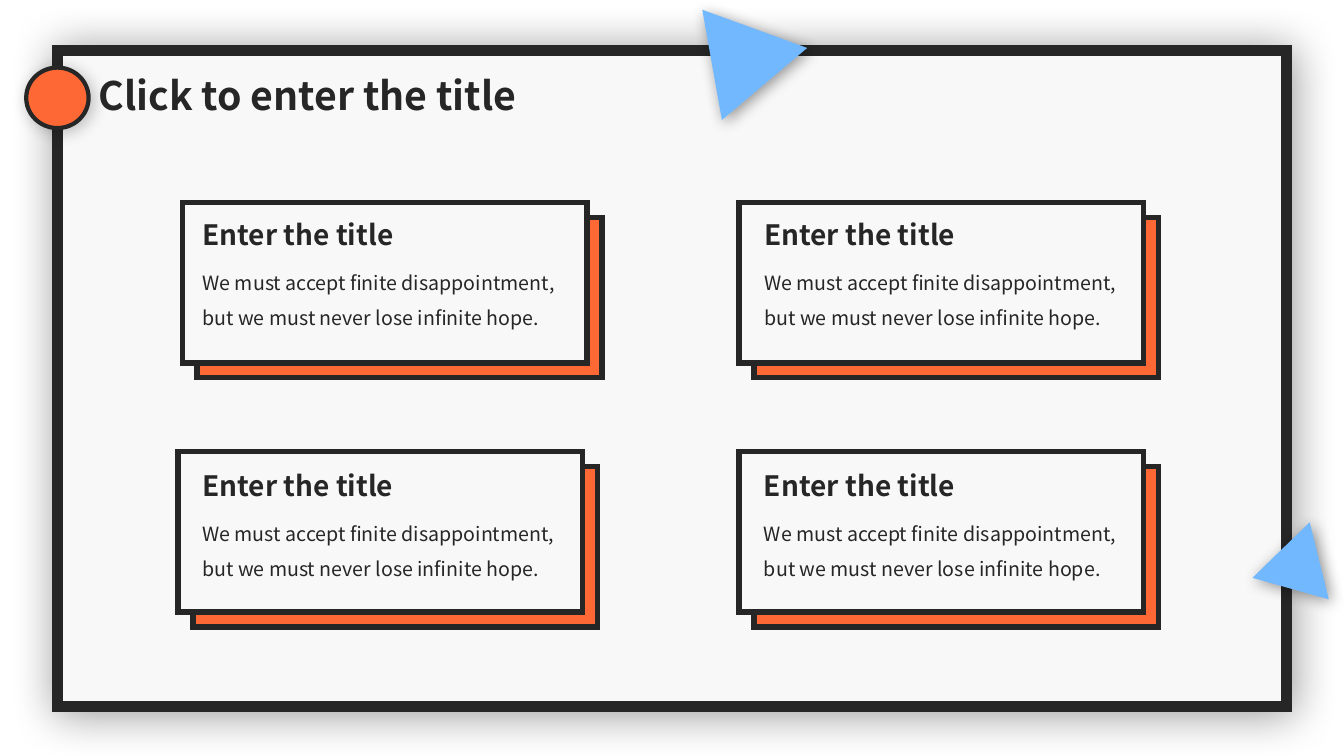
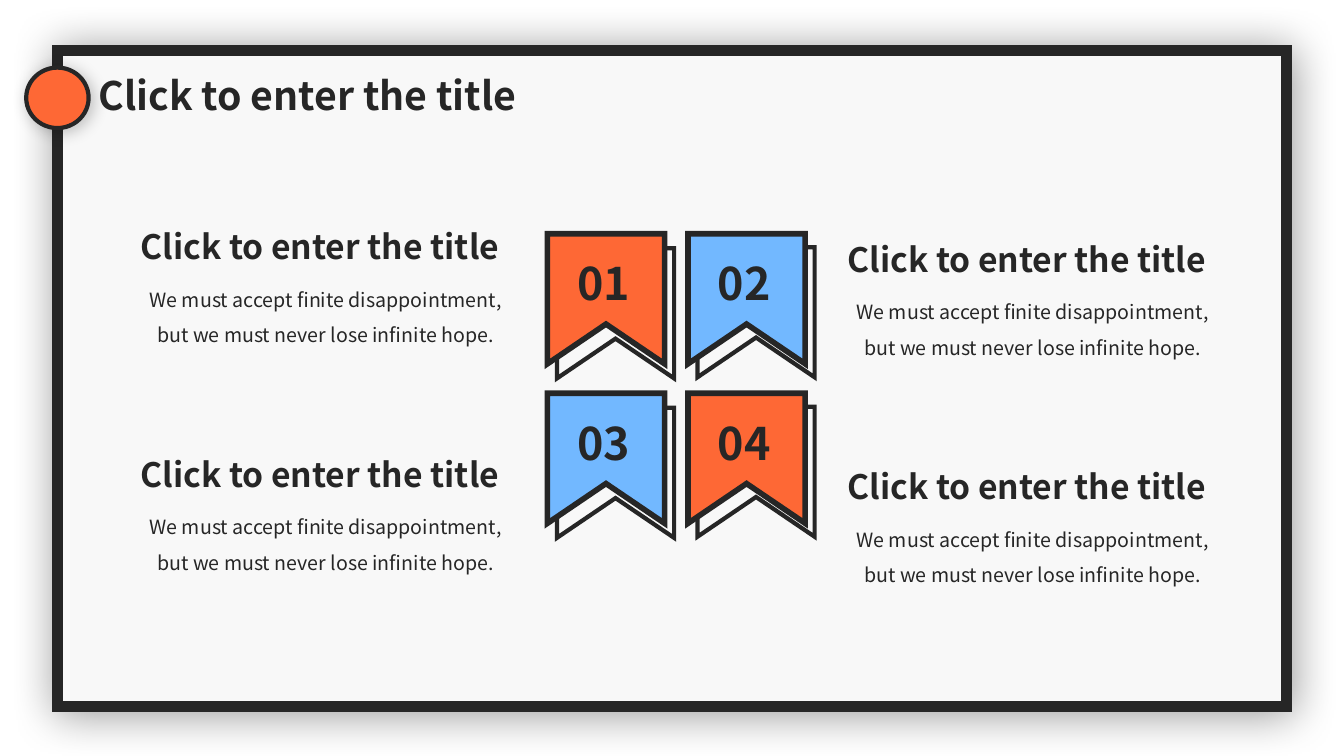
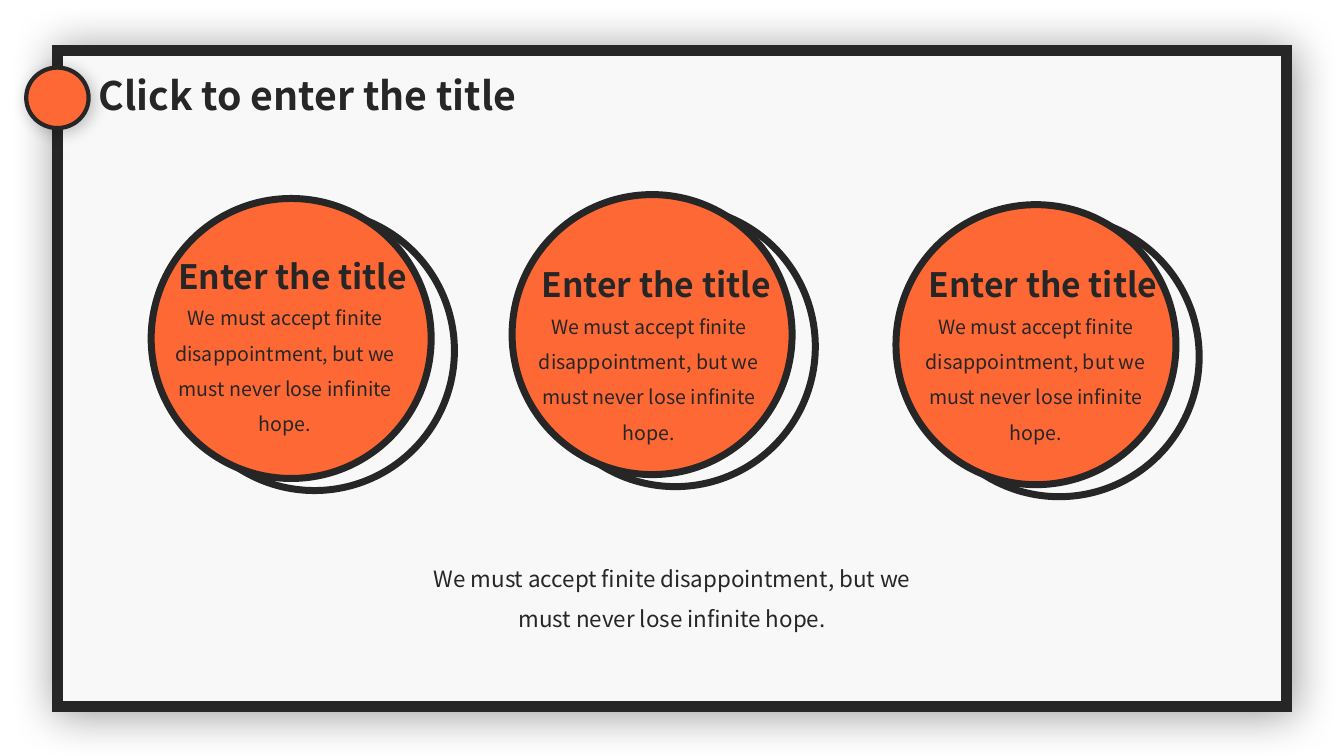
from dataclasses import dataclass

from lxml import etree
from pptx import Presentation
from pptx.dml.color import RGBColor
from pptx.enum.shapes import MSO_SHAPE
from pptx.enum.text import MSO_AUTO_SIZE, PP_ALIGN
from pptx.oxml.ns import qn
from pptx.util import Pt

RECT, OVAL = MSO_SHAPE.RECTANGLE, MSO_SHAPE.OVAL
WEDGE = MSO_SHAPE.ISOSCELES_TRIANGLE
LEFT, MID = PP_ALIGN.LEFT, PP_ALIGN.CENTER
GROW = MSO_AUTO_SIZE.SHAPE_TO_FIT_TEXT


@dataclass(frozen=True)
class Theme:
    font: str = "Noto Sans CJK SC"
    ink: str = "262626"
    paper: str = "F8F8F8"
    orange: str = "FE6835"
    blue: str = "72B8FF"
    title: int = 28
    number: int = 32
    head: int = 24
    label: int = 20
    note: int = 16
    body: int = 14


THEME = Theme()
TITLE = "Click to enter the title"
LABEL = "Enter the title"
QUOTE = "We must accept finite disappointment, but we must never lose infinite hope."


def paint(shape, fill=None, line=0):
    shape.shadow.inherit = False
    if fill:
        shape.fill.solid()
        shape.fill.fore_color.rgb = RGBColor.from_string(fill)
    else:
        shape.fill.background()
    if line:
        shape.line.color.rgb = RGBColor.from_string(THEME.ink)
        shape.line.width = Pt(line)
        join = etree.SubElement(shape.line._get_or_add_ln(), qn("a:miter"))
        join.set("lim", "800000")
    else:
        shape.line.fill.background()
    return shape


def draw(shapes, kind, box, fill, line=0):
    return paint(shapes.add_shape(kind, *map(Pt, box)), fill, line)


def shade(shape, alpha, blur):
    """Give a painted shape a soft shadow, 3 pt to the lower right."""
    effects = shape._element.spPr.find(qn("a:effectLst"))
    outer = etree.SubElement(effects, qn("a:outerShdw"), blurRad=str(Pt(blur)),
                             dist=str(Pt(3)), dir="2700000", algn="tl",
                             rotWithShape="0")
    color = etree.SubElement(outer, qn("a:srgbClr"), val="000000")
    etree.SubElement(color, qn("a:alpha"), val=str(alpha * 1000))


def write(shapes, box, text, size, bold=False, align=LEFT):
    """Bold text stays on one line; plain text wraps with open spacing."""
    frame = shapes.add_textbox(*map(Pt, box)).text_frame
    frame.word_wrap = not bold
    frame.auto_size = GROW
    para = frame.paragraphs[0]
    para.alignment = align
    if not bold:
        para.line_spacing = 1.5
    run = para.add_run()
    run.text = text
    run.font.name = THEME.font
    run.font.size = Pt(size)
    run.font.bold = bold
    run.font.color.rgb = RGBColor.from_string(THEME.ink)


def base(deck):
    """Add a slide with the framed panel, the dot and the title."""
    shapes = deck.slides.add_slide(deck.slide_layouts[6]).shapes
    shade(draw(shapes, RECT, (41, 36, 878, 468.7), THEME.paper, 8), 40, 32)
    head = shapes.add_group_shape().shapes
    shade(draw(head, OVAL, (18.7, 48.3, 44.6, 43.2), THEME.orange, 3), 23, 12)
    write(head, (63.4, 47.5, 323, 41), TITLE, THEME.title, True)
    return shapes


def double(shapes, kind, box, step, under, over, line):
    """Draw a shape on top of a twin that is moved by step."""
    left, top, wide, high = box
    group = shapes.add_group_shape().shapes
    draw(group, kind, (left + step[0], top + step[1], wide, high), under, line)
    draw(group, kind, box, over, line)


def card(shapes, left, top, inset):
    double(shapes, RECT, (left, top, 289, 114.5), (10.6, 10.6),
           THEME.orange, THEME.paper, 4)
    x, y = left + inset[0], top + inset[1]
    write(shapes, (x, y + 29.6, 281.5, 55.4), QUOTE, THEME.body)
    write(shapes, (x, y, 153.4, 31.7), LABEL, THEME.label, True)


def wedge(shapes, box, turn):
    shape = draw(shapes, WEDGE, box, THEME.blue)
    shape.rotation = turn
    shade(shape, 40, 11)


def flag(shapes, left, top, fill, line):
    wide, high, notch = 83.7, 92.9, 28.4
    points = [(wide, 0), (wide, high), (wide / 2, high - notch), (0, high)]
    pen = shapes.build_freeform(Pt(left), Pt(top))
    pen.add_line_segments([(Pt(left + x), Pt(top + y)) for x, y in points])
    paint(pen.convert_to_shape(), fill, line)


def badge(shapes, left, top, drop, fill, text):
    """Draw a numbered flag over an empty one."""
    group = shapes.add_group_shape().shapes
    flag(group, left + 6.8, top + drop, None, 3)
    flag(group, left, top, fill, 4)
    write(group, (left + 13, top + 12.4, 54.7, 46), text, THEME.number, True, MID)


def blurb(shapes, left, top):
    write(shapes, (left, top + 35.7, 278.6, 55.4), QUOTE, THEME.body, align=MID)
    write(shapes, (left, top, 279.4, 36), TITLE, THEME.head, True)


def disc(shapes, left, top, inset):
    double(shapes, OVAL, (left, top, 200, 200), (16.6, 8.6),
           THEME.paper, THEME.orange, 5)
    x, y = left + inset[0], top + inset[1]
    write(shapes, (x - 5.2, y + 27.7, 181.4, 105.8), QUOTE, THEME.body, align=MID)
    write(shapes, (x, y, 181.4, 36), LABEL, THEME.head, True, MID)


def cards(deck):
    shapes = base(deck)
    for left, top, inset in [(130.3, 144.7, (7.2, 7.2)),
                             (127.2, 322.6, (10.2, 8.6)),
                             (527.8, 144.7, (11, 7.2)),
                             (527.8, 322.6, (10.8, 8.6))]:
        card(shapes, left, top, inset)
    wedge(shapes, (502.6, 5.8, 80, 69), 79.9)
    wedge(shapes, (903.6, 386, 57, 49), 135.9)


def badges(deck):
    shapes = base(deck)
    for i in range(4):
        row, col = divmod(i, 2)
        fill = THEME.orange if row == col else THEME.blue
        badge(shapes, 391 + 100.4 * col, 167 + 113.9 * row,
              10.4 - 0.8 * col, fill, f"0{i + 1}")
        blurb(shapes, 93.4 + 505 * col, 157.7 + 9.2 * col + 162.7 * row)


def discs(deck):
    shapes = base(deck)
    for left, top, inset in [(108, 141.8, (10.2, 37.4)),
                             (365.8, 139, (12.2, 46.2)),
                             (640, 146.2, (14.3, 39))]:
        disc(shapes, left, top, inset)
    write(shapes, (293, 390.2, 374.4, 62), QUOTE, THEME.note, align=MID)


def main():
    deck = Presentation()
    deck.slide_width, deck.slide_height = Pt(960), Pt(540)
    cards(deck)
    badges(deck)
    discs(deck)
    deck.save("out.pptx")


if __name__ == "__main__":
    main()
